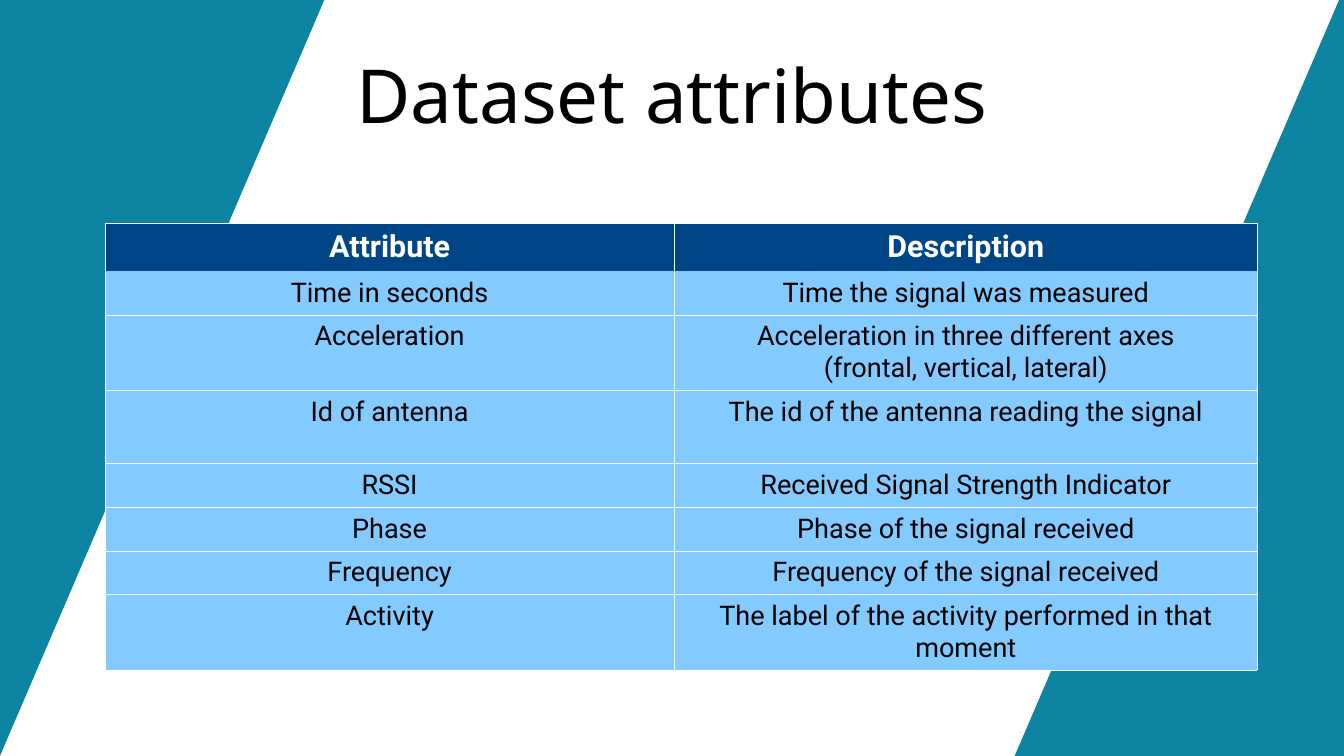
"""Build the slide that lists the dataset attributes."""
from dataclasses import dataclass

from lxml import etree
from pptx import Presentation
from pptx.dml.color import RGBColor
from pptx.enum import text
from pptx.oxml import ns
from pptx.util import Inches, Pt


@dataclass(frozen=True)
class Theme:
    band: str = "0D84A1"
    header: str = "004586"
    body: str = "83CAFF"
    white: str = "FFFFFF"
    black: str = "000000"
    title_font: str = "Noto Sans"
    table_font: str = "Roboto"
    title_size: int = 44
    header_size: int = 18
    body_size: int = 16
    border: float = 0.06


@dataclass(frozen=True)
class Row:
    attribute: str
    description: str
    height: float = 0.35


THEME = Theme()
WIDTH, HEIGHT = 11.02, 6.2
BANDS = [
    [(10.98, 0), (WIDTH, 0), (WIDTH, HEIGHT), (8.32, HEIGHT)],
    [(0, 0), (2.66, 0), (0, HEIGHT)],
]
COLUMNS = [4.67, 4.78]
ROWS = [
    Row("Attribute", "Description", 0.38),
    Row("Time in seconds", "Time the signal was measured"),
    Row("Acceleration", "Acceleration in three different axes\n(frontal, vertical, lateral)", 0.6),
    Row("Id of antenna", "The id of the antenna reading the signal", 0.6),
    Row("RSSI", "Received Signal Strength Indicator"),
    Row("Phase", "Phase of the signal received"),
    Row("Frequency", "Frequency of the signal received"),
    Row("Activity", "The label of the activity performed in that moment", 0.6),
]


def style_text(frame, font: str, size: int, color: str, bold: bool = False) -> None:
    for para in frame.paragraphs:
        para.alignment = text.PP_ALIGN.CENTER
        for span in para.runs:
            span.font.name = font
            span.font.size = Pt(size)
            span.font.bold = bold
            span.font.color.rgb = RGBColor.from_string(color)


def draw_band(page, points: list[tuple[float, float]]) -> None:
    corners = [(Inches(x), Inches(y)) for x, y in points]
    builder = page.shapes.build_freeform(*corners[0])
    builder.add_line_segments(corners[1:])
    band = builder.convert_to_shape()
    band.shadow.inherit = False
    band.fill.solid()
    band.fill.fore_color.rgb = RGBColor.from_string(THEME.band)
    band.line.fill.background()


def draw_title(page, wording: str) -> None:
    title = page.shapes.title
    title.left, title.top = Inches(0.55), Inches(0.25)
    title.width, title.height = Inches(9.92), Inches(1.03)
    frame = title.text_frame
    frame.text = wording
    frame.vertical_anchor = text.MSO_ANCHOR.MIDDLE
    frame.margin_left = frame.margin_right = frame.margin_top = frame.margin_bottom = 0
    style_text(frame, THEME.title_font, THEME.title_size, THEME.black)
    page.shapes.element.append(title.element)


def set_borders(cell, hidden: str) -> None:
    properties = cell._tc.get_or_add_tcPr()
    for side in ("lnL", "lnR", "lnT", "lnB"):
        line = etree.SubElement(properties, ns.qn(f"a:{side}"), w=str(Pt(THEME.border)))
        if side == hidden:
            etree.SubElement(line, ns.qn("a:noFill"))
        else:
            fill = etree.SubElement(line, ns.qn("a:solidFill"))
            etree.SubElement(fill, ns.qn("a:srgbClr"), val=THEME.white)


def draw_table(page, rows: list[Row]) -> None:
    table = page.shapes.add_table(
        len(rows), len(COLUMNS), Inches(0.86), Inches(1.83),
        Inches(sum(COLUMNS)), Inches(sum(row.height for row in rows)),
    ).table
    for column, width in zip(table.columns, COLUMNS):
        column.width = Inches(width)
    for index, row in enumerate(rows):
        table.rows[index].height = Inches(row.height)
        is_header = index == 0
        hidden = {0: "lnB", 1: "lnT"}.get(index, "")
        for cell, wording in zip(table.rows[index].cells, (row.attribute, row.description)):
            cell.text_frame.text = wording
            set_borders(cell, hidden)
            cell.fill.solid()
            cell.fill.fore_color.rgb = RGBColor.from_string(THEME.header if is_header else THEME.body)
            style_text(
                cell.text_frame, THEME.table_font,
                THEME.header_size if is_header else THEME.body_size,
                THEME.white if is_header else THEME.black, is_header,
            )


def main() -> None:
    deck = Presentation()
    deck.slide_width, deck.slide_height = Inches(WIDTH), Inches(HEIGHT)
    page = deck.slides.add_slide(deck.slide_layouts.get_by_name("Title Only"))
    for points in BANDS:
        draw_band(page, points)
    draw_title(page, "Dataset attributes")
    draw_table(page, ROWS)
    deck.save("out.pptx")


if __name__ == "__main__":
    main()
